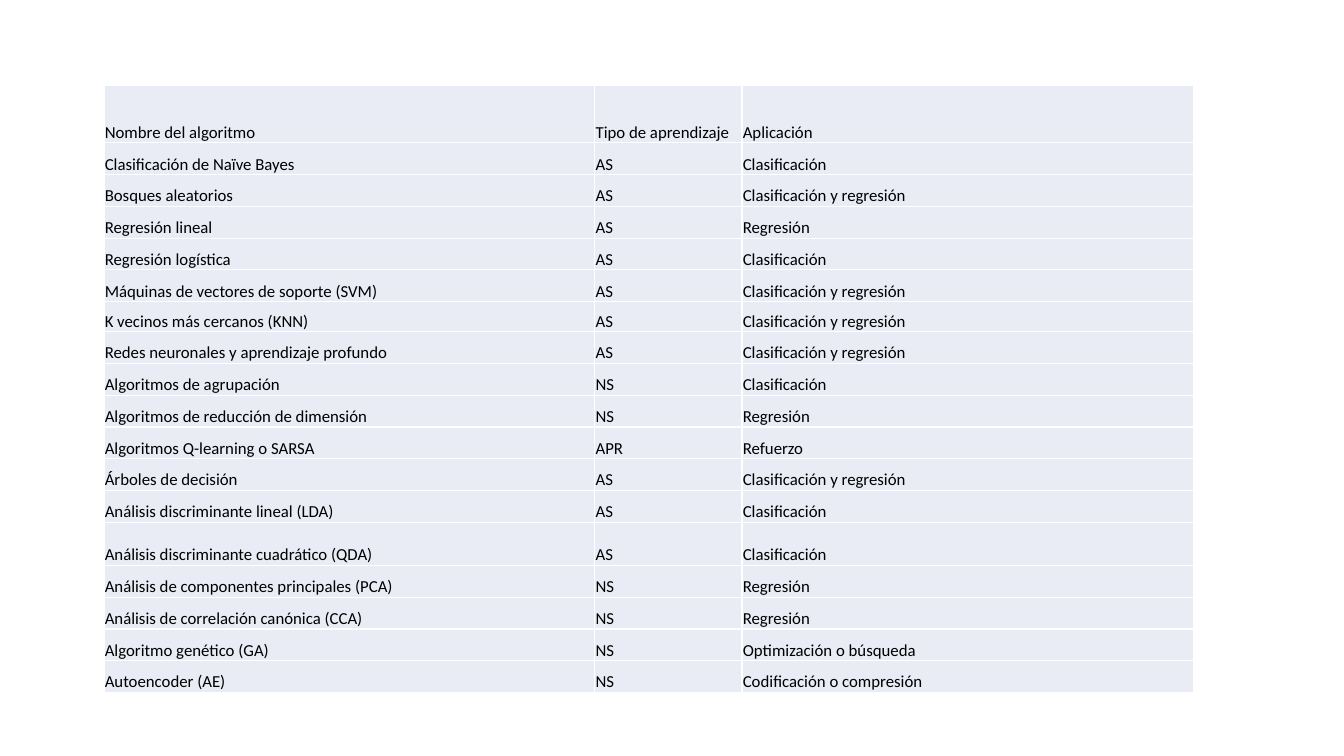
import dataclasses

import lxml.etree
import pptx
import pptx.dml.color
import pptx.enum.text
import pptx.oxml.ns
import pptx.util

PX = 3600  # EMU per px: 254 px to the inch
COLORS = {"cell": "E9EBF5", "border": "FFFFFF", "text": "000000"}
FONT, FONT_SIZE = "Calibri", 12
LEFT, TOP = 262, 214
COL_WIDTHS = (1237, 371, 1138)
ROW_HEIGHT = 80


@dataclasses.dataclass
class Algorithm:
    name: str
    learning: str
    use: str
    height: int = ROW_HEIGHT


ROWS = [
    Algorithm("Nombre del algoritmo", "Tipo de aprendizaje", "Aplicación", 146),
    Algorithm("Clasificación de Naïve Bayes", "AS", "Clasificación"),
    Algorithm("Bosques aleatorios", "AS", "Clasificación y regresión"),
    Algorithm("Regresión lineal", "AS", "Regresión"),
    Algorithm("Regresión logística", "AS", "Clasificación"),
    Algorithm("Máquinas de vectores de soporte (SVM)", "AS", "Clasificación y regresión"),
    Algorithm("K vecinos más cercanos (KNN)", "AS", "Clasificación y regresión", 76),
    Algorithm("Redes neuronales y aprendizaje profundo", "AS", "Clasificación y regresión"),
    Algorithm("Algoritmos de agrupación", "NS", "Clasificación"),
    Algorithm("Algoritmos de reducción de dimensión", "NS", "Regresión"),
    Algorithm("Algoritmos Q-learning o SARSA", "APR", "Refuerzo"),
    Algorithm("Árboles de decisión", "AS", "Clasificación y regresión"),
    Algorithm("Análisis discriminante lineal (LDA)", "AS", "Clasificación"),
    Algorithm("Análisis discriminante cuadrático (QDA)", "AS", "Clasificación", 109),
    Algorithm("Análisis de componentes principales (PCA)", "NS", "Regresión"),
    Algorithm("Análisis de correlación canónica (CCA)", "NS", "Regresión"),
    Algorithm("Algoritmo genético (GA)", "NS", "Optimización o búsqueda"),
    Algorithm("Autoencoder (AE)", "NS", "Codificación o compresión"),
]


def px(n: int) -> pptx.util.Emu:
    return pptx.util.Emu(n * PX)


def rgb(name: str) -> pptx.dml.color.RGBColor:
    return pptx.dml.color.RGBColor.from_string(COLORS[name])


def add_borders(cell) -> None:
    qn = pptx.oxml.ns.qn
    tc_pr = cell._tc.get_or_add_tcPr()
    for side in ("lnL", "lnR", "lnT", "lnB"):
        ln = lxml.etree.SubElement(tc_pr, qn(f"a:{side}"), w=str(pptx.util.Pt(1)))
        fill = lxml.etree.SubElement(ln, qn("a:solidFill"))
        lxml.etree.SubElement(fill, qn("a:srgbClr"), val=COLORS["border"])


def fill_cell(cell, text: str) -> None:
    # Borders must precede the fill in the cell properties
    add_borders(cell)
    cell.fill.solid()
    cell.fill.fore_color.rgb = rgb("cell")
    cell.margin_left = cell.margin_right = cell.margin_top = px(2)
    cell.margin_bottom = 0
    cell.vertical_anchor = pptx.enum.text.MSO_ANCHOR.BOTTOM
    p = cell.text_frame.paragraphs[0]
    p.text = text
    r = p.runs[0]
    r.font.name = FONT
    r.font.size = pptx.util.Pt(FONT_SIZE)
    r.font.color.rgb = rgb("text")


def add_algorithm_table(s) -> None:
    height = sum(row.height for row in ROWS)
    table = s.shapes.add_table(
        len(ROWS), len(COL_WIDTHS), px(LEFT), px(TOP), px(sum(COL_WIDTHS)), px(height)
    ).table
    table.first_row = table.horz_banding = False
    for col, width in zip(table.columns, COL_WIDTHS):
        col.width = px(width)
    for row, item in zip(table.rows, ROWS):
        row.height = px(item.height)
        for cell, text in zip(row.cells, (item.name, item.learning, item.use)):
            fill_cell(cell, text)


def main() -> None:
    prs = pptx.Presentation()
    prs.slide_width, prs.slide_height = px(3387), px(1905)
    s = prs.slides.add_slide(prs.slide_layouts[6])
    add_algorithm_table(s)
    prs.save("out.pptx")


if __name__ == "__main__":
    main()
